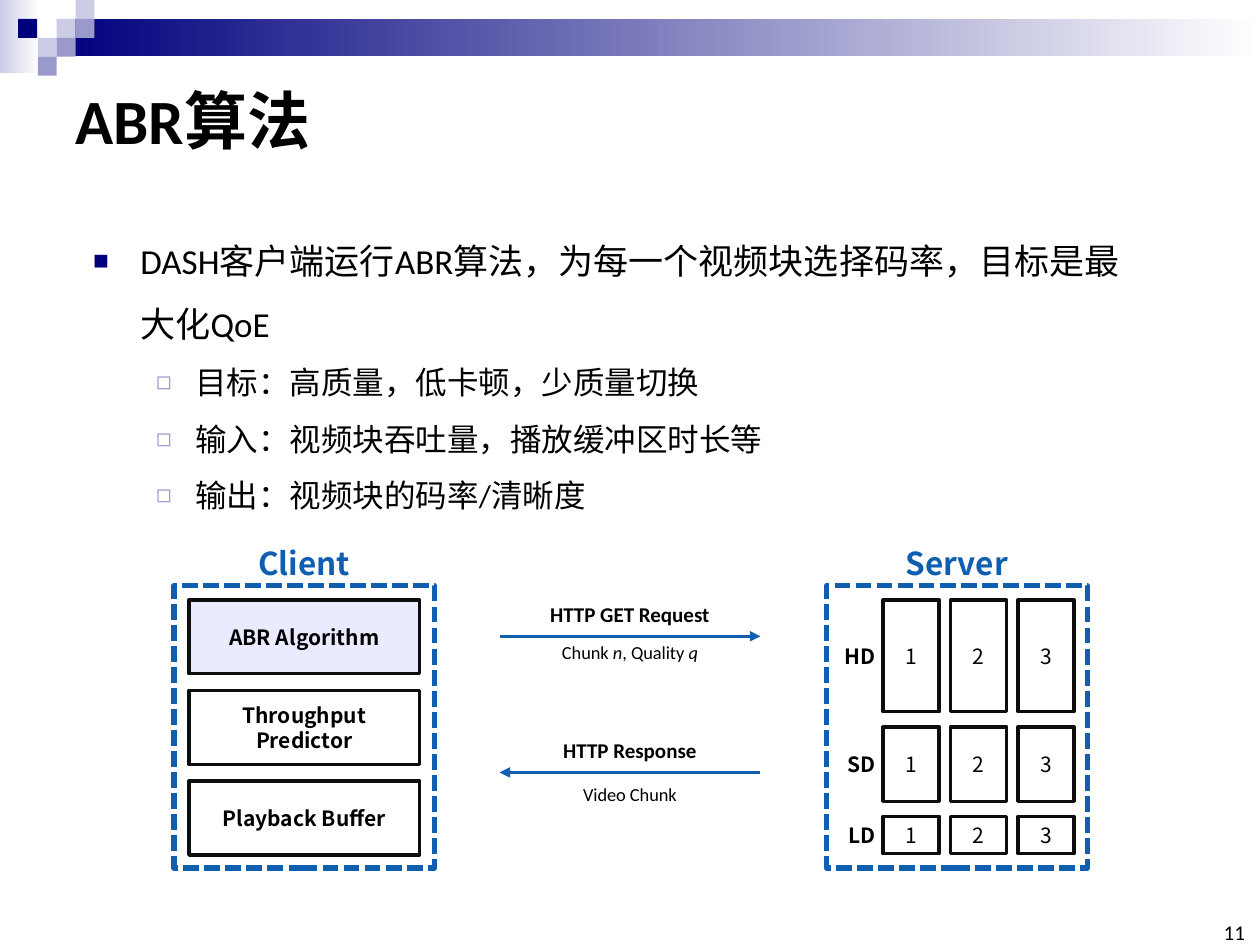
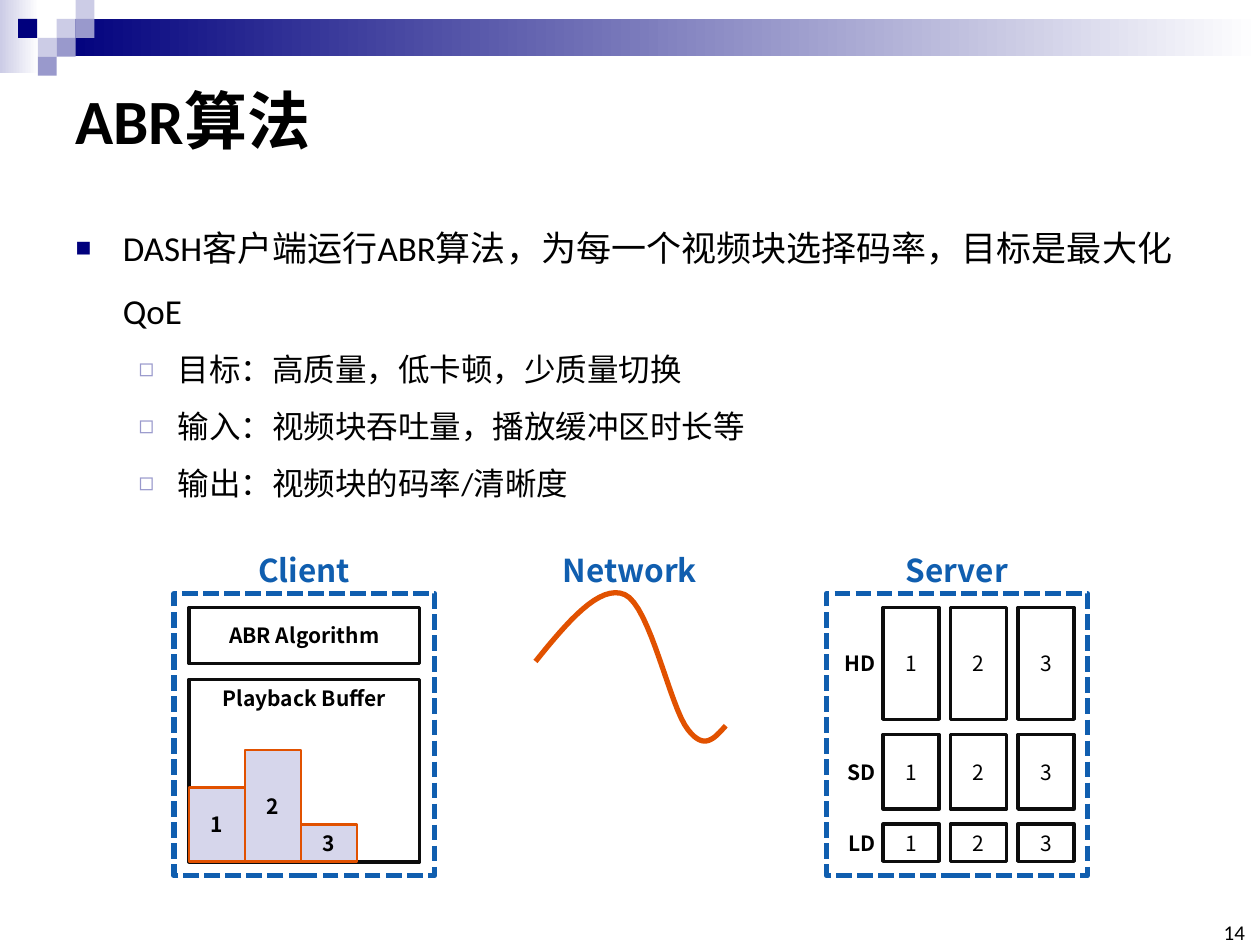
from lxml import etree
from pptx import Presentation
from pptx import util as u
from pptx.dml.color import RGBColor
from pptx.enum import dml, shapes, text
from pptx.oxml import ns

Pt = u.Pt
NAVY = RGBColor(0x00, 0x00, 0x7D)
LILAC = RGBColor(0x99, 0x99, 0xCC)
PALE = RGBColor(0xCC, 0xCC, 0xE6)
WHITE = RGBColor(0xFF, 0xFF, 0xFF)
BLACK = RGBColor(0x00, 0x00, 0x00)
INK = RGBColor(0x0D, 0x0D, 0x0D)
BLUE = RGBColor(0x10, 0x5E, 0xAF)
ORANGE = RGBColor(0xE1, 0x51, 0x00)
HIGHLIGHT = RGBColor(0xEB, 0xEB, 0xFF)
BUFFERED = RGBColor(0xD6, 0xD6, 0xEB)
LATIN, SANS = "Calibri", "Noto Sans CJK SC"
CENTER, LEFT, RIGHT = text.PP_ALIGN.CENTER, text.PP_ALIGN.LEFT, text.PP_ALIGN.RIGHT
MIDDLE, TOP, BOTTOM = text.MSO_ANCHOR.MIDDLE, text.MSO_ANCHOR.TOP, text.MSO_ANCHOR.BOTTOM


def box(s, x, y, w, h, fill=None, line=None, weight=2):
    """Add a plain rectangle."""
    sp = s.shapes.add_shape(shapes.MSO_SHAPE.RECTANGLE, Pt(x), Pt(y), Pt(w), Pt(h))
    sp.shadow.inherit = False
    sp.fill.background()
    if fill is not None:
        sp.fill.solid()
        sp.fill.fore_color.rgb = fill
    sp.line.fill.background()
    if line is not None:
        sp.line.color.rgb = line
        sp.line.width = Pt(weight)
    return sp


def write(sp, runs, size=12, bold=True, color=BLACK, font=SANS, align=CENTER,
          anchor=MIDDLE, insets=(7.2, 3.6, 7.2, 3.6)):
    """Write one paragraph; every second run is italic."""
    tf = sp.text_frame
    tf.word_wrap = True
    tf.vertical_anchor = anchor
    tf.margin_left, tf.margin_top, tf.margin_right, tf.margin_bottom = map(Pt, insets)
    p = tf.paragraphs[0]
    p.alignment = align
    for i, part in enumerate(runs):
        r = p.add_run()
        r.text = part
        r.font.name, r.font.size, r.font.bold = font, Pt(size), bold
        r.font.color.rgb = color
        if i % 2:
            r.font.italic = True


prs = Presentation()
prs.slide_width, prs.slide_height = Pt(720), Pt(540)
layout = prs.slide_layouts[1]

TITLE = "ABR算法"
BULLETS = [
    (0, "DASH客户端运行ABR算法，为每一个视频块选择码率，目标是最大化QoE"),
    (1, "目标：高质量，低卡顿，少质量切换"),
    (1, "输入：视频块吞吐量，播放缓冲区时长等"),
    (1, "输出：视频块的码率/清晰度"),
]
# Per level: size, left margin, hanging indent, bullet, bullet colour, bullet size
LEVELS = [(20, 27, -27, "■", NAVY, 75), (18, 58.5, -22.5, "◻", LILAC, 80)]

# Per slide: page number, body frame, top of the diagram panels
PAGES = [("11", (46, 121, 620.6, 162), 334.8), ("14", (36, 113.8, 648, 396.7), 339.2)]

PANEL_W, PANEL_H = 149, 161.3
CLIENT_X, NETWORK_X, SERVER_X = 99.4, 285.5, 472.3
INNER_X, INNER_W = 108, 131.8
UNIT, GAP, PAD = 21.3, 8.6, 8  # height of an LD chunk, row gap, panel padding
CHUNK_W, CHUNK_PITCH = 32, 38.5

for number, body_frame, top in PAGES:
    s = prs.slides.add_slide(layout)

    # Title
    title, body = s.shapes.title, s.placeholders[1]
    title.left, title.top, title.width, title.height = Pt(36), Pt(36), Pt(648), Pt(64)
    title.text_frame.auto_size = text.MSO_AUTO_SIZE.NONE
    write(title, [TITLE], 36, font=LATIN, align=LEFT)

    # Bulleted list
    body.left, body.top, body.width, body.height = map(Pt, body_frame)
    tf = body.text_frame
    tf.auto_size = text.MSO_AUTO_SIZE.NONE
    for i, (level, line) in enumerate(BULLETS):
        size, margin, indent, bullet, color, percent = LEVELS[level]
        p = tf.add_paragraph() if i else tf.paragraphs[0]
        p.text = line
        p.level = level
        p.line_spacing, p.space_before = 1.5, Pt(0)
        r = p.runs[0]
        r.font.name, r.font.size, r.font.color.rgb = LATIN, Pt(size), BLACK
        pPr = p._p.get_or_add_pPr()
        pPr.set("marL", str(Pt(margin)))
        pPr.set("indent", str(Pt(indent)))
        clr = etree.SubElement(pPr, ns.qn("a:buClr"))
        etree.SubElement(clr, ns.qn("a:srgbClr")).set("val", str(color))
        etree.SubElement(pPr, ns.qn("a:buSzPct")).set("val", str(percent * 1000))
        etree.SubElement(pPr, ns.qn("a:buChar")).set("char", bullet)

    # Client and server panels
    for x, name in ((CLIENT_X, "Client"), (SERVER_X, "Server")):
        sp = box(s, x, top, PANEL_W, PANEL_H, line=BLUE, weight=3)
        sp.line.dash_style = dml.MSO_LINE.SQUARE_DOT
        write(box(s, x, top - 26, PANEL_W, 25.2), [name], 18, color=BLUE)

    # Server chunks, one row per quality
    y = top + PAD
    for quality, units in (("HD", 3), ("SD", 2), ("LD", 1)):
        h = units * UNIT
        write(box(s, 479.5, y, 25.2, h), [quality], align=RIGHT, insets=(0, 3.6, 4.3, 3.6))
        for i in range(3):
            sp = box(s, 504.7 + i * CHUNK_PITCH, y, CHUNK_W, h, line=INK)
            write(sp, [str(i + 1)], bold=False)
        y += h + GAP

    # Page number
    sp = box(s, 694.8, 527.8, 16.6, 12.2)
    write(sp, [number], bold=False, font=LATIN, align=RIGHT, anchor=BOTTOM, insets=(0, 0, 0, 0))

# Shared band and squares, kept on the layout
first, second = prs.slides
bands = []
for x, y, w, h, color in ((0, 0, 22.3, 41.8, PALE), (32.4, 10.8, 687.6, 21.4, NAVY)):
    sp = box(first, x, y, w, h)
    sp.fill.gradient()
    sp.fill.gradient_angle = 0
    for stop, rgb in zip(sp.fill.gradient_stops, (color, WHITE)):
        stop.color.rgb = rgb
    bands.append(sp)
for x, y, color in ((32.4, 10.8, PALE), (43.2, 0, PALE), (43.2, 10.8, LILAC),
                    (21.6, 21.6, PALE), (10.4, 10.8, NAVY), (32.4, 21.6, LILAC),
                    (21.6, 32.4, LILAC)):
    bands.append(box(first, x, y, 10.8, 10.8, fill=color))
for i, sp in enumerate(bands):
    sp.element.nvSpPr.cNvPr.set("id", str(100 + i))
    layout.shapes.element.append(sp.element)

# First slide: client modules
top = PAGES[0][2]
modules = (("ABR Algorithm", HIGHLIGHT), ("Throughput Predictor", None), ("Playback Buffer", None))
for i, (name, fill) in enumerate(modules):
    write(box(first, INNER_X, top + PAD + i * 51.8, INNER_W, 42.2, fill, INK), [name])

# First slide: request and response
left, right = NETWORK_X, NETWORK_X + PANEL_W
messages = (
    (363.6, left, right, "HTTP GET Request", ["Chunk ", "n", ", Quality ", "q"], 18),
    (441.4, right, left, "HTTP Response", ["Video Chunk"], 25.2),
)
for y, start, end, name, detail, detail_h in messages:
    cn = first.shapes.add_connector(shapes.MSO_CONNECTOR.STRAIGHT, Pt(start), Pt(y), Pt(end), Pt(y))
    cn.line.color.rgb, cn.line.width = BLUE, Pt(1.5)
    etree.SubElement(cn.line._get_or_add_ln(), ns.qn("a:tailEnd")).set("type", "triangle")
    etree.SubElement(cn.element.spPr, ns.qn("a:effectLst"))
    write(box(first, left, y - 25.2, PANEL_W, 25.2), [name], font=LATIN)
    write(box(first, left, y, PANEL_W, detail_h), detail, 10.5, bold=False, font=LATIN)

# Second slide: client modules and buffered chunks
top = PAGES[1][2]
write(box(second, INNER_X, top + PAD, INNER_W, 32, line=INK), ["ABR Algorithm"])
write(box(second, INNER_X, top + 49, INNER_W, 104.3, line=INK), ["Playback Buffer"], anchor=TOP)
for i, units in enumerate((2, 3, 1)):
    h = units * UNIT
    sp = box(second, INNER_X + i * CHUNK_W, top + 153.3 - h, CHUNK_W, h, BUFFERED, ORANGE, 1.5)
    write(sp, [str(i + 1)])

# Second slide: network bandwidth curve, sampled from three Bézier pieces
write(box(second, NETWORK_X, top - 26, PANEL_W, 25.2), ["Network"], 18, color=BLUE)
knots = [(306, 378), (324, 355.7), (342.7, 333.4), (357.1, 339.8), (371.5, 346.3),
         (383, 404.6), (393.1, 416.9), (402.5, 429.1), (408.2, 421.9), (414.7, 414.7)]
points = []
for k in (0, 3, 6):
    a, b, c, d = knots[k:k + 4]
    for step in range(1, 17):
        t = step / 16
        points.append([(1 - t) ** 3 * a[j] + 3 * (1 - t) ** 2 * t * b[j]
                       + 3 * (1 - t) * t ** 2 * c[j] + t ** 3 * d[j] for j in (0, 1)])
fb = second.shapes.build_freeform(*knots[0], scale=Pt(1))
fb = second.shapes.build_freeform(Pt(knots[0][0]), Pt(knots[0][1]))
fb.add_line_segments([(Pt(x), Pt(y)) for x, y in points], close=False)
curve = fb.convert_to_shape()
curve.shadow.inherit = False
curve.fill.background()
curve.line.color.rgb, curve.line.width = ORANGE, Pt(3)

prs.save("out.pptx")
